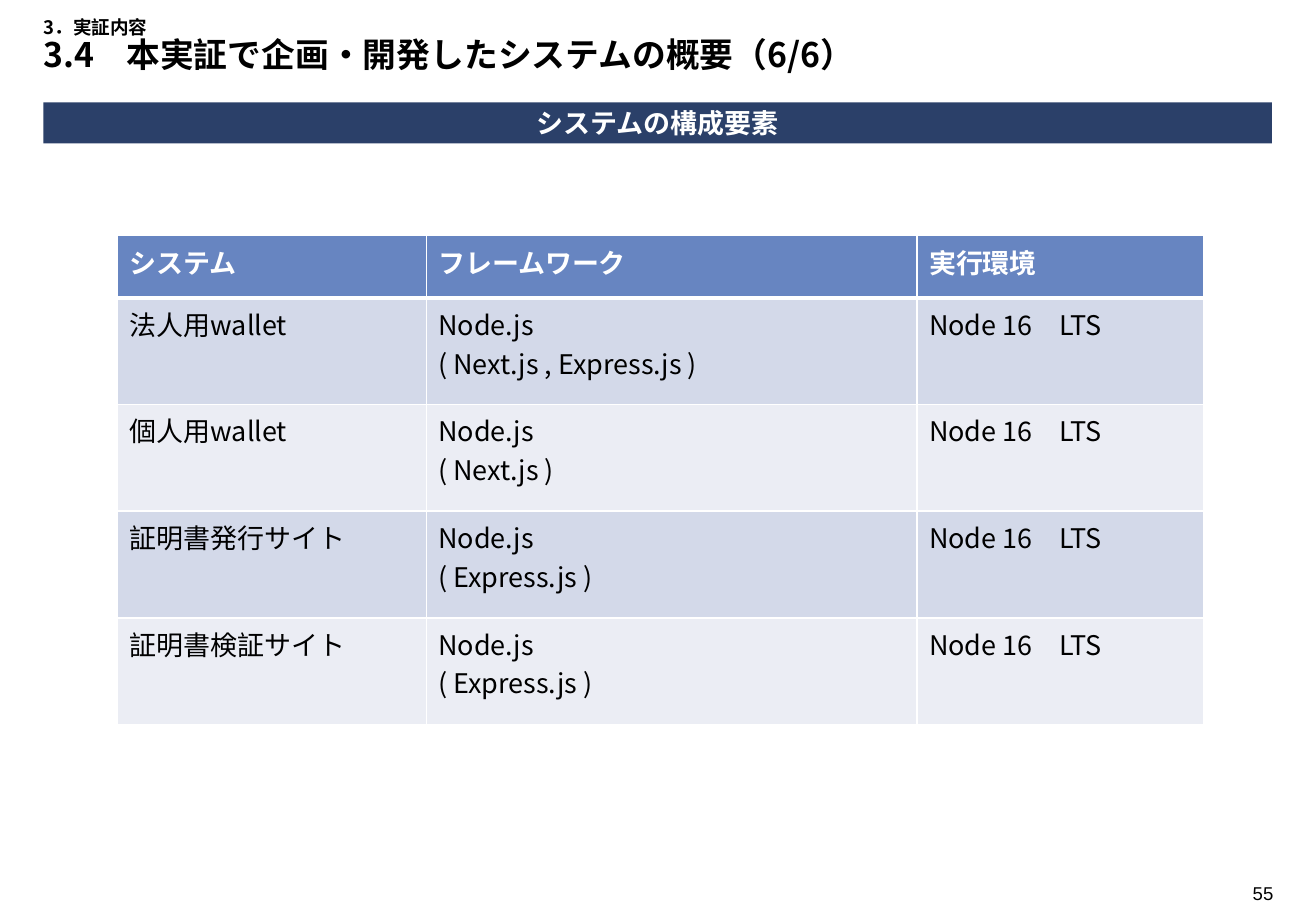
from dataclasses import dataclass

import pptx
import pptx.dml.color
import pptx.enum.shapes
import pptx.enum.text
import pptx.oxml
import pptx.oxml.ns
import pptx.util
from lxml import etree

Cm = pptx.util.Cm
Pt = pptx.util.Pt
PP_ALIGN = pptx.enum.text.PP_ALIGN
qn = pptx.oxml.ns.qn


@dataclass(frozen=True)
class Theme:
    black: str = "000000"
    white: str = "FFFFFF"
    navy: str = "2B4069"
    header: str = "6785C1"
    bands: tuple = ("D3D9E9", "EBEDF4")
    latin: str = "Arial"
    japanese: str = "Noto Sans CJK JP"
    small: int = 11
    body: int = 16
    title: int = 20
    border: int = 1
    header_border: int = 3


THEME = Theme()
HEADERS = ["システム", "フレームワーク", "実行環境"]
RUNTIME = "Node 16　LTS"
SYSTEMS = [
    ("法人用wallet", "( Next.js , Express.js )"),
    ("個人用wallet", "( Next.js )"),
    ("証明書発行サイト", "( Express.js )"),
    ("証明書検証サイト", "( Express.js )"),
]


def rgb(color):
    return pptx.dml.color.RGBColor.from_string(color)


def add_run(p, text, size, color, font=THEME.japanese, bold=False):
    r = p.add_run()
    r.text = text
    r.font.size = Pt(size)
    r.font.bold = bold
    r.font.name = font
    r.font.color.rgb = rgb(color)
    ea = etree.SubElement(r.font._element, qn("a:ea"))
    ea.set("typeface", THEME.japanese)


def set_margins(tf, side, vertical):
    tf.word_wrap = True
    tf.margin_left = tf.margin_right = Cm(side)
    tf.margin_top = tf.margin_bottom = Cm(vertical)


def add_text_box(s, left, top, width, height):
    tf = s.shapes.add_textbox(Cm(left), Cm(top), Cm(width), Cm(height)).text_frame
    set_margins(tf, 0, 0.13)
    return tf.paragraphs[0]


def add_title(s, section, number, heading):
    p = add_text_box(s, 0.91, 0.25, 25.68, 1.14)
    p.line_spacing = 0.9
    tabs = etree.SubElement(p._p.get_or_add_pPr(), qn("a:tabLst"))
    etree.SubElement(tabs, qn("a:tab"), pos=str(Cm(1.73)), algn="l")
    add_run(p, section, THEME.small, THEME.black, bold=True)
    p.add_line_break()
    add_run(p, f"{number}\t{heading}", THEME.title, THEME.black, bold=True)


def add_banner(s, text):
    sp = s.shapes.add_shape(pptx.enum.shapes.MSO_SHAPE.RECTANGLE,
                            Cm(0.91), Cm(2.14), Cm(25.68), Cm(0.86))
    sp.shadow.inherit = False
    sp.fill.solid()
    sp.fill.fore_color.rgb = rgb(THEME.navy)
    sp.line.fill.background()
    tf = sp.text_frame
    set_margins(tf, 0.1, 0.1)
    tf.vertical_anchor = pptx.enum.text.MSO_ANCHOR.MIDDLE
    p = tf.paragraphs[0]
    p.alignment = PP_ALIGN.CENTER
    add_run(p, text, THEME.body, THEME.white, THEME.latin, True)


def set_borders(cell, top, bottom):
    tcPr = cell._tc.get_or_add_tcPr()
    widths = {"L": THEME.border, "R": THEME.border, "T": top, "B": bottom}
    for side, width in widths.items():
        ln = etree.SubElement(tcPr, qn(f"a:ln{side}"), w=str(Pt(width)))
        fill = etree.SubElement(ln, qn("a:solidFill"))
        etree.SubElement(fill, qn("a:srgbClr"), val=THEME.white)


def fill_cell(cell, lines, row):
    is_header = row == 0
    set_borders(cell,
                THEME.header_border if row == 1 else THEME.border,
                THEME.header_border if is_header else THEME.border)
    cell.fill.solid()
    cell.fill.fore_color.rgb = rgb(THEME.header if is_header else THEME.bands[(row - 1) % 2])
    tf = cell.text_frame
    for i, line in enumerate(lines):
        p = tf.add_paragraph() if i else tf.paragraphs[0]
        add_run(p, line, THEME.body, THEME.white if is_header else THEME.black, bold=is_header)


def add_system_table(s):
    rows = [[[name] for name in HEADERS]]
    rows += [[[name], ["Node.js", libraries], [RUNTIME]] for name, libraries in SYSTEMS]
    widths = [6.45, 10.26, 5.99]
    heights = [1.3] + [2.23] * len(SYSTEMS)
    table = s.shapes.add_table(len(rows), len(widths), Cm(2.46), Cm(4.93),
                               Cm(sum(widths)), Cm(sum(heights))).table
    for column, width in zip(table.columns, widths):
        column.width = Cm(width)
    for row, height in zip(table.rows, heights):
        row.height = Cm(height)
    for i, cells in enumerate(rows):
        for j, lines in enumerate(cells):
            fill_cell(table.cell(i, j), lines, i)


def add_page_number(s, number):
    p = add_text_box(s, 25.4, 18.31, 1.22, 0.74)
    p.alignment = PP_ALIGN.RIGHT
    add_run(p, number, THEME.small, THEME.black, THEME.latin)


def main():
    prs = pptx.Presentation()
    prs.slide_width = Cm(27.51)
    prs.slide_height = Cm(19.05)
    s = prs.slides.add_slide(prs.slide_layouts[6])
    add_page_number(s, "55")
    add_title(s, "3．実証内容", "3.4", "本実証で企画・開発したシステムの概要（6/6）")
    add_banner(s, "システムの構成要素")
    add_system_table(s)
    prs.save("out.pptx")


if __name__ == "__main__":
    main()
